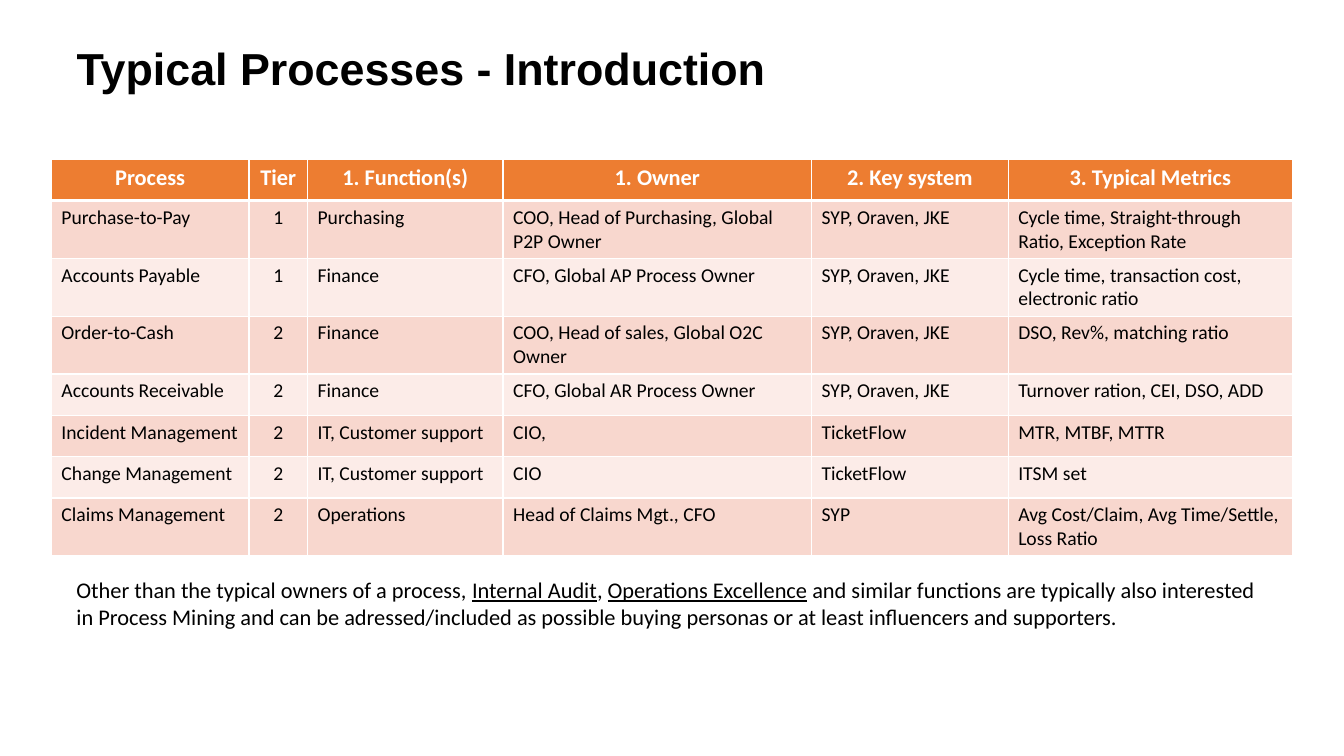
from lxml import etree
from pptx import Presentation
from pptx.dml.color import RGBColor
from pptx.enum import text
from pptx.oxml import ns
from pptx.util import Inches, Pt

WHITE, BLACK, ORANGE = "FFFFFF", "000000", "ED7D31"
BANDS = ["F8D7CE", "FCECE8"]
COLUMN_WIDTHS = [1.96, 0.58, 1.94, 3.06, 1.95, 2.82]
ROW_HEIGHT = 0.41
TIER_COLUMN = 1
SUITES = "SYP, Oraven, JKE"
HEADINGS = ["Process", "Tier", "1. Function(s)", "1. Owner", "2. Key system", "3. Typical Metrics"]
PROCESSES = [
    ["Purchase-to-Pay", "1", "Purchasing", "COO, Head of Purchasing, Global P2P Owner",
     SUITES, "Cycle time, Straight-through Ratio, Exception Rate"],
    ["Accounts Payable", "1", "Finance", "CFO, Global AP Process Owner",
     SUITES, "Cycle time, transaction cost, electronic ratio"],
    ["Order-to-Cash", "2", "Finance", "COO, Head of sales, Global O2C Owner",
     SUITES, "DSO, Rev%, matching ratio"],
    ["Accounts Receivable", "2", "Finance", "CFO, Global AR Process Owner",
     SUITES, "Turnover ration, CEI, DSO, ADD"],
    ["Incident Management", "2", "IT, Customer support", "CIO,",
     "TicketFlow", "MTR, MTBF, MTTR"],
    ["Change Management", "2", "IT, Customer support", "CIO",
     "TicketFlow", "ITSM set"],
    ["Claims Management", "2", "Operations", "Head of Claims Mgt., CFO",
     "SYP", "Avg Cost/Claim, Avg Time/Settle, Loss Ratio"],
]
NOTE = [
    ("Other than the typical owners of a process, ", False),
    ("Internal Audit", True),
    (", ", False),
    ("Operations Excellence", True),
    (" and similar functions are typically also interested in Process Mining and can be "
     "adressed/included as possible buying personas or at least influencers and supporters.", False),
]


def colour(value):
    return RGBColor.from_string(value)


def set_all(target, values):
    for name, value in values.items():
        setattr(target, name, value)


def add_span(para, words, shade, **values):
    span = para.add_run()
    span.text = words
    set_all(span.font, values)
    span.font.color.rgb = colour(shade)


def add_borders(cell, bottom_width):
    properties = cell._tc.get_or_add_tcPr()
    widths = {"a:lnL": 1, "a:lnR": 1, "a:lnT": 1, "a:lnB": bottom_width}
    for side, width in widths.items():
        line = etree.SubElement(properties, ns.qn(side), w=str(Pt(width)))
        fill = etree.SubElement(line, ns.qn("a:solidFill"))
        etree.SubElement(fill, ns.qn("a:srgbClr"), val=WHITE)


def add_title(page, left, top, width, height):
    title = page.shapes.title
    set_all(title, dict(left=Inches(left), top=Inches(top),
                        width=Inches(width), height=Inches(height)))
    set_all(title.text_frame, dict(word_wrap=True, auto_size=text.MSO_AUTO_SIZE.NONE,
                                   vertical_anchor=text.MSO_ANCHOR.TOP))
    para = title.text_frame.paragraphs[0]
    set_all(para, dict(alignment=text.PP_ALIGN.LEFT, line_spacing=0.9))
    add_span(para, "Typical Processes - Introduction", BLACK,
             name="Arial", size=Pt(32), bold=True)


def add_process_table(page, left, top):
    records = [HEADINGS] + PROCESSES
    table = page.shapes.add_table(
        len(records), len(HEADINGS), Inches(left), Inches(top),
        Inches(sum(COLUMN_WIDTHS)), Inches(ROW_HEIGHT * len(records))).table
    for column, width in zip(table.columns, COLUMN_WIDTHS):
        column.width = Inches(width)
    for row_index, record in enumerate(records):
        table.rows[row_index].height = Inches(ROW_HEIGHT)
        header = row_index == 0
        for column_index, words in enumerate(record):
            cell = table.cell(row_index, column_index)
            add_borders(cell, 3 if header else 1)
            cell.fill.solid()
            cell.fill.fore_color.rgb = colour(ORANGE if header else BANDS[(row_index - 1) % 2])
            para = cell.text_frame.paragraphs[0]
            if header or column_index == TIER_COLUMN:
                para.alignment = text.PP_ALIGN.CENTER
            add_span(para, words, WHITE if header else BLACK, name="Calibri",
                     size=Pt(16 if header else 14), bold=header)


def add_note(page, left, top, width, height):
    box = page.shapes.add_textbox(Inches(left), Inches(top), Inches(width), Inches(height))
    set_all(box.text_frame, dict(word_wrap=True, auto_size=text.MSO_AUTO_SIZE.SHAPE_TO_FIT_TEXT))
    para = box.text_frame.paragraphs[0]
    for words, underline in NOTE:
        add_span(para, words, BLACK, name="Calibri", size=Pt(16), underline=underline)


def main():
    deck = Presentation()
    set_all(deck, dict(slide_width=Inches(13.33), slide_height=Inches(7.5)))
    page = deck.slides.add_slide(deck.slide_layouts[5])
    add_process_table(page, 0.51, 1.58)
    add_note(page, 0.66, 5.67, 11.89, 0.64)
    add_title(page, 0.66, 0.41, 8.56, 0.64)
    deck.save("out.pptx")


if __name__ == "__main__":
    main()
